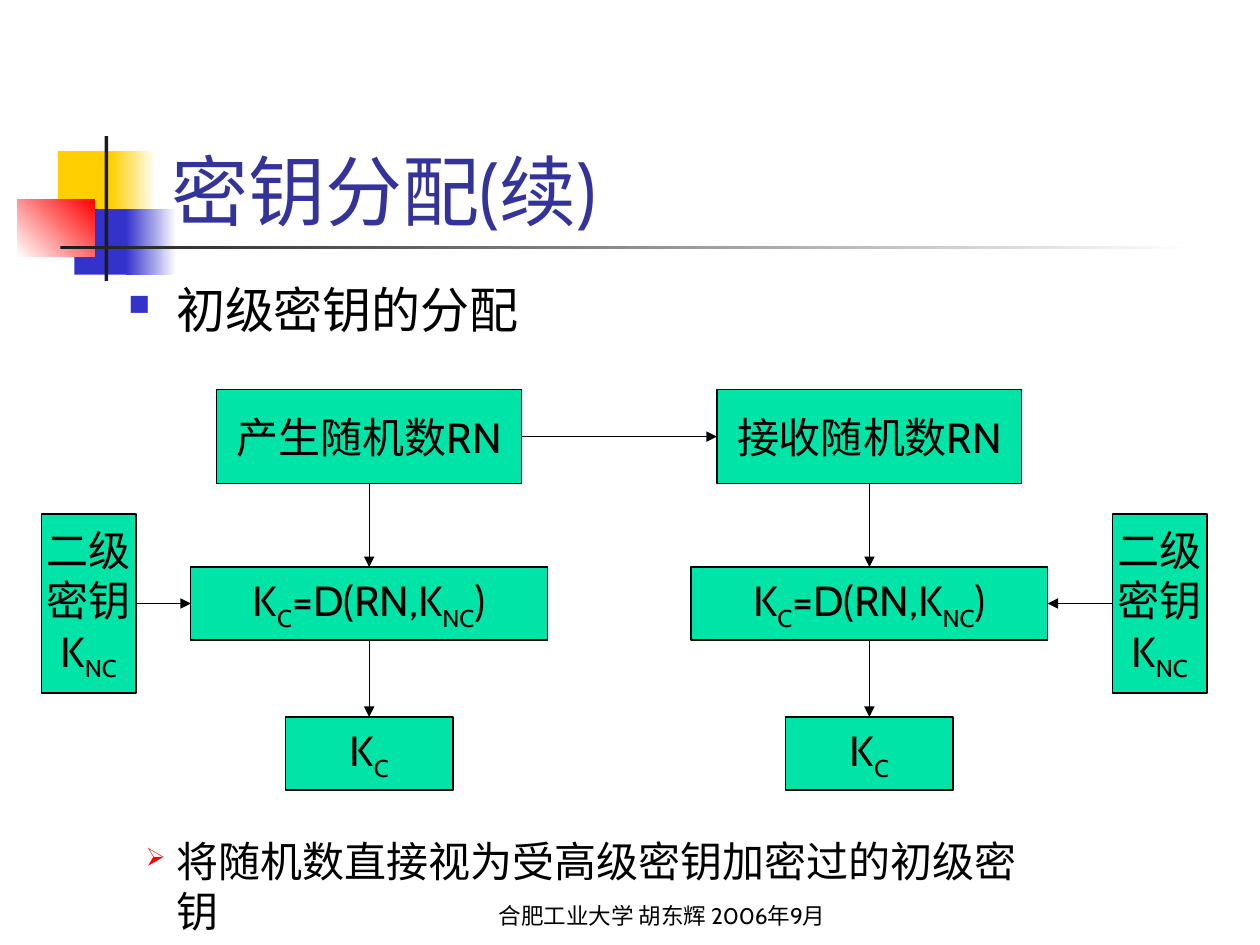
from dataclasses import dataclass

from lxml.etree import SubElement
from pptx import Presentation
from pptx.dml.color import RGBColor
from pptx.enum.shapes import MSO_CONNECTOR, MSO_SHAPE
from pptx.enum.text import MSO_ANCHOR, PP_ALIGN
from pptx.oxml.ns import qn
from pptx.util import Inches, Pt


@dataclass(frozen=True)
class Theme:
    font: str = "Cabin"
    title: float = 44
    head: float = 28
    body: float = 24
    foot: float = 12.9
    rule: float = 0.75
    navy: str = "333399"
    blue: str = "3333CC"
    gold: str = "FFCF01"
    red: str = "FF0000"
    green: str = "00E4A8"
    dark: str = "1C1C1C"
    black: str = "000000"
    white: str = "FFFFFF"


THEME = Theme()
TOP, LEFT, BOTTOM, RIGHT = range(4)
KEY = [("K", "NC")]
FORMULA = [("K", "C"), ("=D(RN,K", "NC"), (")", "")]


def rgb(code):
    return RGBColor.from_string(code)


def style(para, size, color=THEME.black, align=PP_ALIGN.LEFT):
    para.alignment = align
    font = para.font
    font.name, font.size = THEME.font, Pt(size)
    font.color.rgb = rgb(color)


def add_bullet(para, char, color, indent):
    props = para._p.get_or_add_pPr()
    props.set("marL", str(Inches(indent)))
    props.set("indent", str(-Inches(indent)))
    tint = SubElement(props, qn("a:buClr"))
    SubElement(tint, qn("a:srgbClr"), val=color)
    SubElement(props, qn("a:buSzPct"), val="60000")
    SubElement(props, qn("a:buChar"), char=char)


def add_text(slide, spot, text, size, color=THEME.black, align=PP_ALIGN.LEFT,
             anchor=MSO_ANCHOR.TOP, bullet=None):
    frame = slide.shapes.add_textbox(*map(Inches, spot)).text_frame
    frame.word_wrap = True
    frame.vertical_anchor = anchor
    para = frame.paragraphs[0]
    para.text = text
    if bullet:
        add_bullet(para, *bullet)
    style(para, size, color, align)


def add_rect(slide, spot):
    rect = slide.shapes.add_shape(MSO_SHAPE.RECTANGLE, *map(Inches, spot))
    rect.shadow.inherit = False
    return rect


def add_block(slide, spot, start, end=None, angle=0):
    """Add a borderless block, fading from start to end if end is given."""
    block = add_rect(slide, spot)
    block.line.fill.background()
    if end is None:
        block.fill.solid()
        block.fill.fore_color.rgb = rgb(start)
        return
    block.fill.gradient()
    block.fill.gradient_angle = angle
    for stop, code in zip(block.fill.gradient_stops, (start, end)):
        stop.color.rgb = rgb(code)


def add_box(slide, spot, lines):
    """Add a green box; each line is a list of (base text, subscript) pairs."""
    box = add_rect(slide, spot)
    box.fill.solid()
    box.fill.fore_color.rgb = rgb(THEME.green)
    box.line.color.rgb = rgb(THEME.black)
    box.line.width = Pt(THEME.rule)
    frame = box.text_frame
    frame.word_wrap = False
    frame.vertical_anchor = MSO_ANCHOR.MIDDLE
    for num, line in enumerate(lines):
        para = frame.add_paragraph() if num else frame.paragraphs[0]
        for base, sub in line:
            para.add_run().text = base
            if sub:
                run = para.add_run()
                run.text = sub
                run._r.get_or_add_rPr().set("baseline", "-25000")
        style(para, THEME.body, align=PP_ALIGN.CENTER)
    return box


def add_arrow(slide, start, side, end, goal):
    arrow = slide.shapes.add_connector(MSO_CONNECTOR.STRAIGHT, 0, 0, 0, 0)
    arrow.begin_connect(start, side)
    arrow.end_connect(end, goal)
    arrow.line.color.rgb = rgb(THEME.black)
    arrow.line.width = Pt(THEME.rule)
    SubElement(arrow.line._get_or_add_ln(), qn("a:tailEnd"), type="triangle")
    SubElement(arrow._element.spPr, qn("a:effectLst"))


def add_chain(slide, mid, label):
    """Add three boxes centred on mid, joined downwards."""
    rows = [
        (3.09, 2.42, 0.75, [(label, "")]),
        (4.5, 2.83, 0.58, FORMULA),
        (5.69, 1.33, 0.58, [("K", "C")]),
    ]
    boxes = [add_box(slide, (mid - wide / 2, top, wide, high), [line])
             for top, wide, high, line in rows]
    for upper, lower in zip(boxes, boxes[1:]):
        add_arrow(slide, upper, BOTTOM, lower, TOP)
    return boxes


def add_key(slide, left):
    lines = [[("二级", "")], [("密钥", "")], KEY]
    return add_box(slide, (left, 4.08, 0.75, 1.42), lines)


def add_decor(slide):
    add_block(slide, (0.46, 1.2, 0.48, 0.52), THEME.gold)
    add_block(slide, (0.88, 1.2, 0.36, 0.52), THEME.gold, THEME.white)
    add_block(slide, (0.59, 1.66, 0.46, 0.52), THEME.blue)
    add_block(slide, (1, 1.66, 0.4, 0.52), THEME.blue, THEME.white)
    add_block(slide, (0.14, 1.58, 0.61, 0.46), THEME.white, THEME.red, 45)
    add_block(slide, (0.83, 1.08, 0.03, 1.15), THEME.dark)
    add_block(slide, (0.48, 1.95, 9, 0.03), THEME.dark, THEME.white)


def add_flow(slide):
    sender = add_chain(slide, 2.93, "产生随机数RN")
    taker = add_chain(slide, 6.9, "接收随机数RN")
    add_arrow(slide, sender[0], RIGHT, taker[0], LEFT)
    add_arrow(slide, add_key(slide, 0.33), RIGHT, sender[1], LEFT)
    add_arrow(slide, add_key(slide, 8.83), LEFT, taker[1], RIGHT)


def main():
    deck = Presentation()
    deck.slide_width, deck.slide_height = Inches(10), Inches(7.5)
    slide = deck.slides.add_slide(deck.slide_layouts[6])
    add_decor(slide)
    add_text(slide, (3.67, 6.92, 3.17, 0.5), "合肥工业大学 胡东辉 2006年9月",
             THEME.foot, align=PP_ALIGN.CENTER, anchor=MSO_ANCHOR.BOTTOM)
    add_text(slide, (1.26, 0.67, 8.52, 1.25), "密钥分配(续)",
             THEME.title, THEME.navy, anchor=MSO_ANCHOR.BOTTOM)
    add_flow(slide)
    add_text(slide, (1.06, 6.58, 7.36, 0.5),
             "将随机数直接视为受高级密钥加密过的初级密钥",
             THEME.body, bullet=("➢", THEME.red, 0.24))
    add_text(slide, (0.92, 2.17, 3.33, 0.88), "初级密钥的分配",
             THEME.head, bullet=("■", THEME.blue, 0.38))
    deck.save("out.pptx")


if __name__ == "__main__":
    main()
